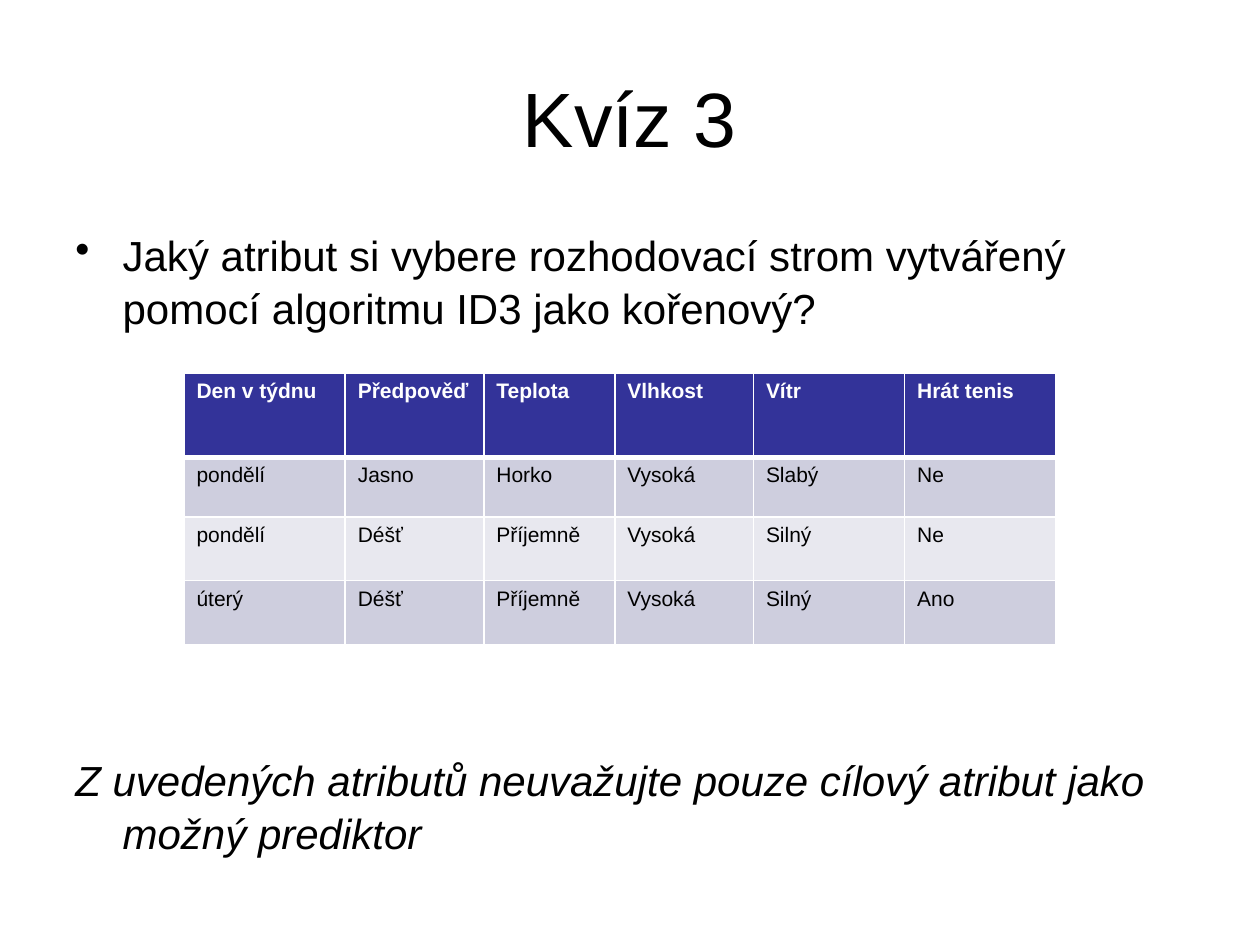
import pptx
import pptx.dml.color
import pptx.enum.text
import pptx.oxml
import pptx.oxml.ns
import pptx.util

FONT = "Arial"
deck = pptx.Presentation()
deck.slide_width = pptx.util.Inches(10)
deck.slide_height = pptx.util.Inches(7.5)
page = deck.slides.add_slide(deck.slide_layouts[6])


def color(value):
    return pptx.dml.color.RGBColor.from_string(value)


def add_span(para, text, size, shade="000000", bold=False, italic=False):
    span = para.add_run()
    span.text = text
    span.font.name = FONT
    span.font.size = pptx.util.Pt(size)
    span.font.bold = bold
    span.font.italic = italic
    span.font.color.rgb = color(shade)


# Positions as shares of the slide
across = deck.slide_width / 100
down = deck.slide_height / 100

# Title
title = page.shapes.add_textbox(int(5 * across), int(4 * down), int(90 * across), int(16.67 * down))
title.text_frame.word_wrap = True
title.text_frame.vertical_anchor = pptx.enum.text.MSO_ANCHOR.MIDDLE
title.text_frame.paragraphs[0].alignment = pptx.enum.text.PP_ALIGN.CENTER
add_span(title.text_frame.paragraphs[0], "Kvíz 3", 44)

# Question above the table and the note below it
body = page.shapes.add_textbox(int(5 * across), int(23.33 * down), int(90 * across), int(66 * down))
body.text_frame.word_wrap = True
question = body.text_frame.paragraphs[0]
note = body.text_frame.add_paragraph()
note.space_before = pptx.util.Pt(240)
indent = int(3.75 * across)
for para, bullet in ((question, '<a:buChar {} char="•"/>'), (note, "<a:buNone {}/>")):
    para.line_spacing = 1.05
    properties = para._p.get_or_add_pPr()
    properties.set("marL", str(indent))
    properties.set("indent", str(-indent))
    properties.append(pptx.oxml.parse_xml(bullet.format(pptx.oxml.ns.nsdecls("a"))))
add_span(question, "Jaký atribut si vybere rozhodovací strom vytvářený pomocí algoritmu ID3 jako kořenový?", 24)
add_span(note, "Z uvedených atributů neuvažujte pouze cílový atribut jako možný prediktor", 24, italic=True)

# Table of days
rows = [
    ["Den v týdnu", "Předpověď", "Teplota", "Vlhkost", "Vítr", "Hrát tenis"],
    ["pondělí", "Jasno", "Horko", "Vysoká", "Slabý", "Ne"],
    ["pondělí", "Déšť", "Příjemně", "Vysoká", "Silný", "Ne"],
    ["úterý", "Déšť", "Příjemně", "Vysoká", "Silný", "Ano"],
]
column_shares = [12.8, 11, 10.4, 11, 12, 12]
row_shares = [8.9, 6.3, 6.75, 6.75]
row_fills = ["333399", "CECEDE", "E8E8EF", "CECEDE"]
table = page.shapes.add_table(
    len(rows), len(column_shares), int(14.6 * across), int(39.5 * down),
    int(sum(column_shares) * across), int(sum(row_shares) * down)).table
for column, share in zip(table.columns, column_shares):
    column.width = int(share * across)
for row, share in zip(table.rows, row_shares):
    row.height = int(share * down)

for r, words in enumerate(rows):
    heading = r == 0
    for c, word in enumerate(words):
        cell = table.cell(r, c)
        add_span(cell.text_frame.paragraphs[0], word, 12,
                 "FFFFFF" if heading else "000000", bold=heading)
        cell.fill.solid()
        cell.fill.fore_color.rgb = color(row_fills[r])
        # White borders, thick between the heading and the days
        widths = {"L": 1, "R": 1, "T": 3 if r == 1 else 1, "B": 3 if heading else 1}
        for place, (side, width) in enumerate(widths.items()):
            border = pptx.oxml.parse_xml(
                f'<a:ln{side} {pptx.oxml.ns.nsdecls("a")} w="{pptx.util.Pt(width)}">'
                f'<a:solidFill><a:srgbClr val="FFFFFF"/></a:solidFill></a:ln{side}>')
            cell._tc.get_or_add_tcPr().insert(place, border)

deck.save("out.pptx")
